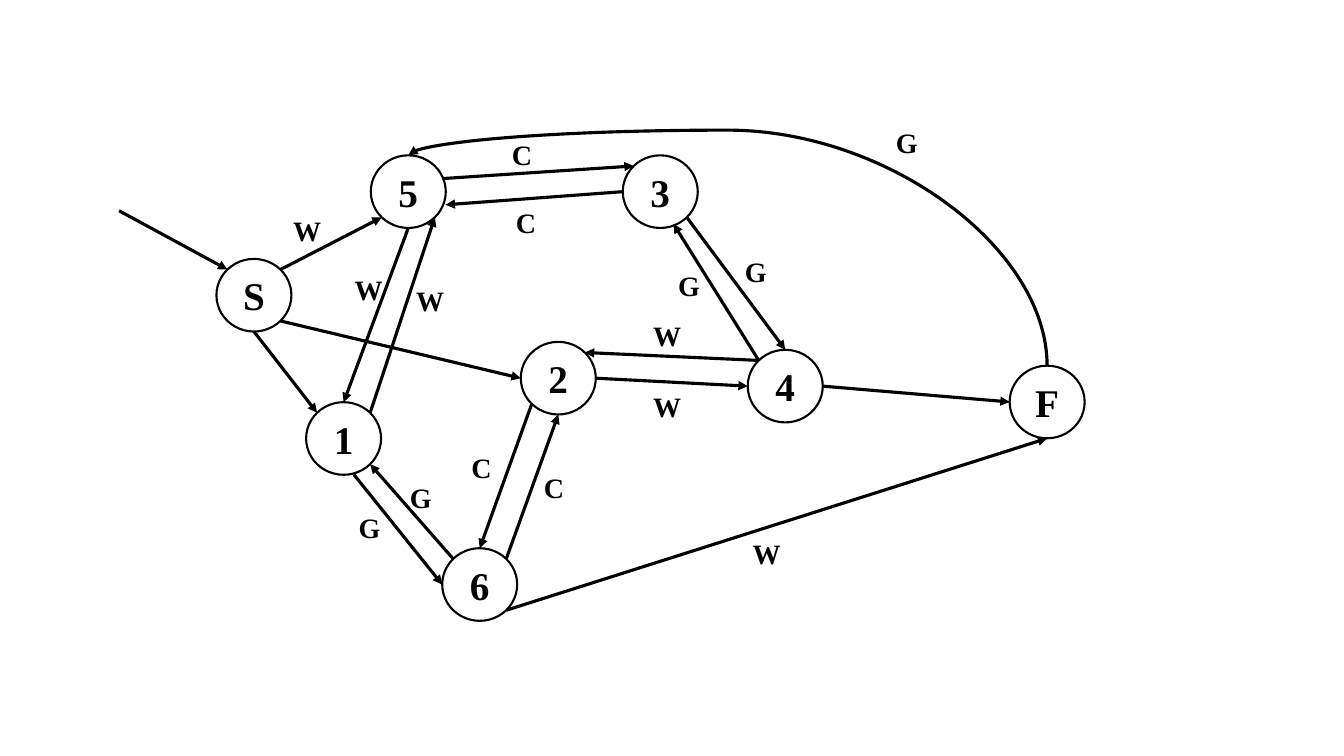
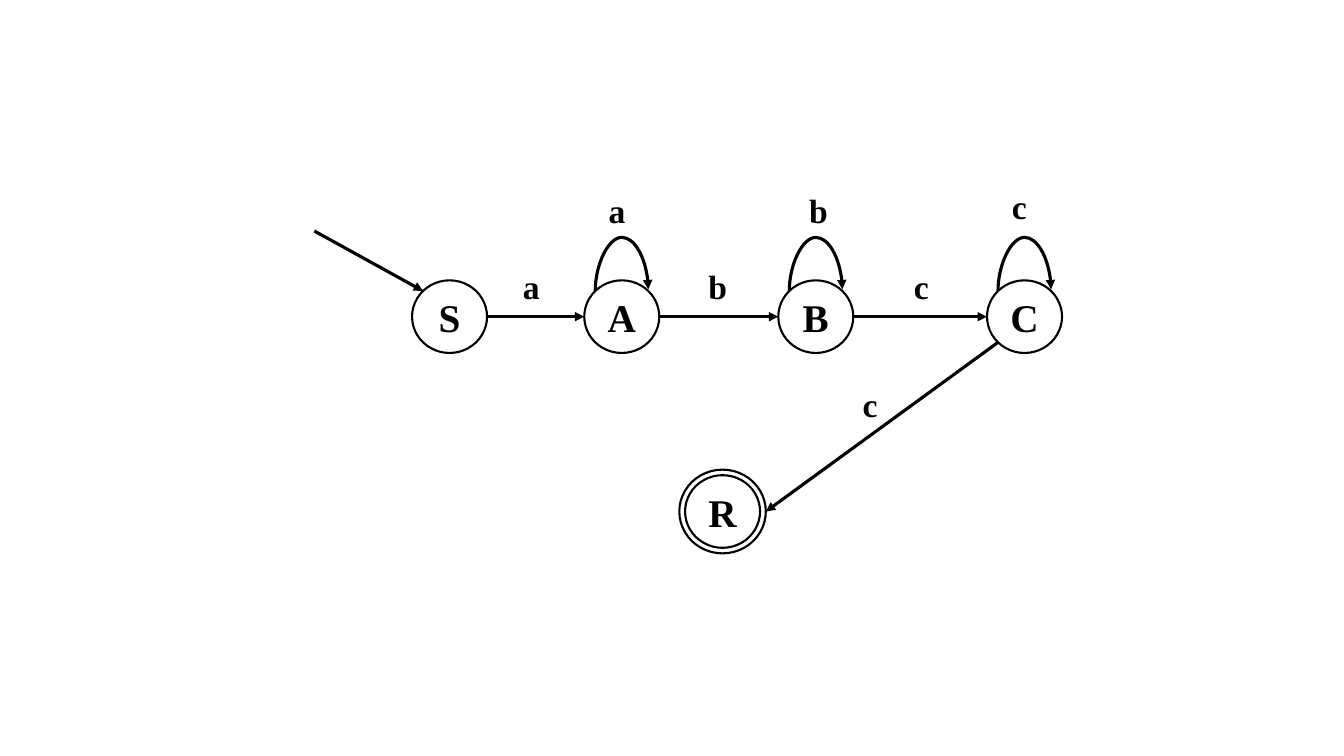
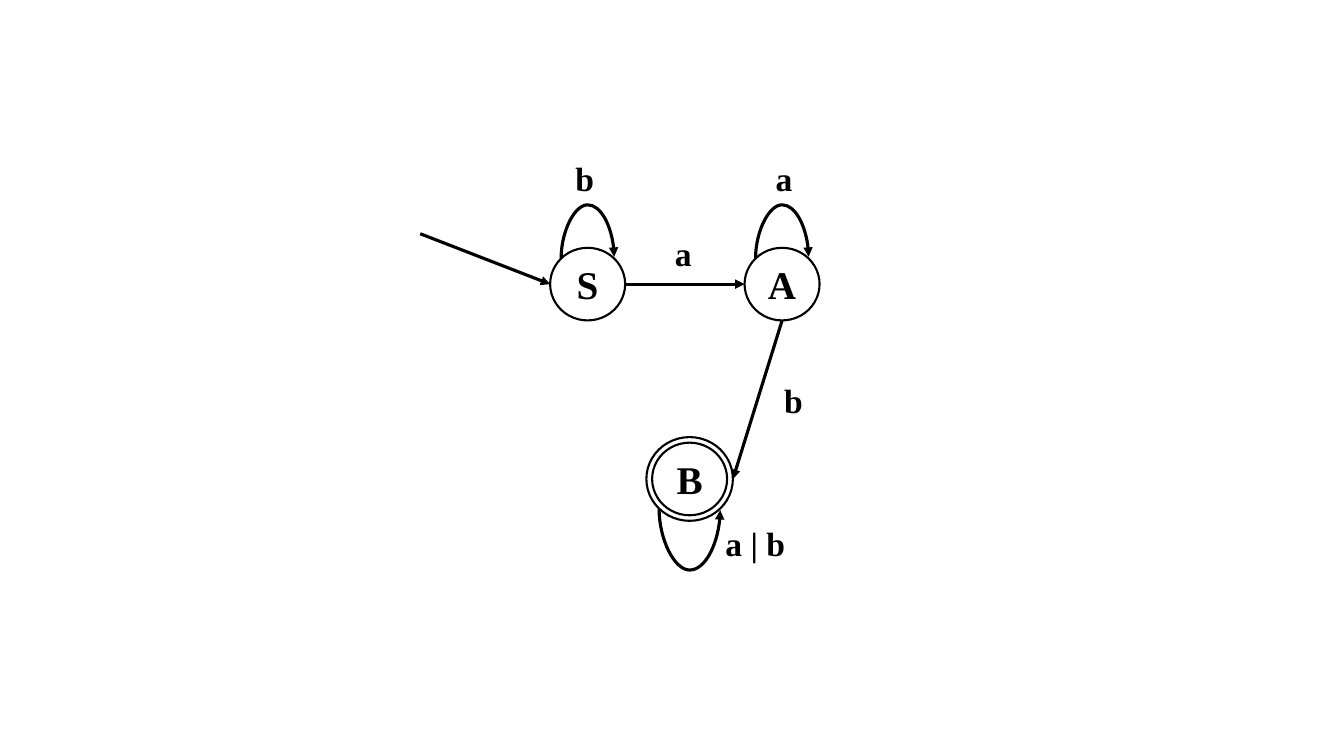
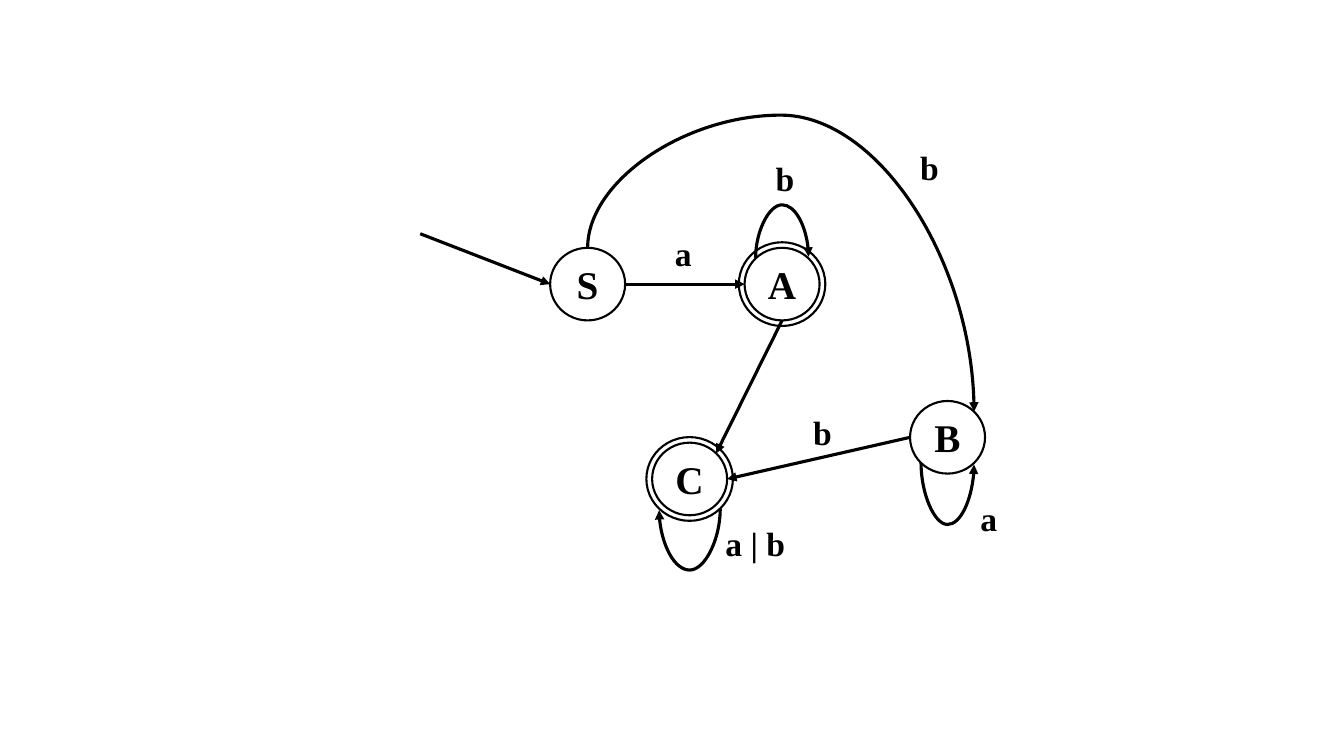
from pptx import Presentation
from pptx.dml.color import RGBColor
from pptx.enum.shapes import MSO_CONNECTOR, MSO_SHAPE
from pptx.enum.text import MSO_ANCHOR, PP_ALIGN
from pptx.oxml.ns import qn
from pptx.util import Cm, Pt

STRAIGHT, CURVE = MSO_CONNECTOR.STRAIGHT, MSO_CONNECTOR.CURVE
OVAL = MSO_SHAPE.OVAL
MIDDLE = MSO_ANCHOR.MIDDLE
CENTER = PP_ALIGN.CENTER

INK = "000000"
FONT = "Times New Roman"
STATE_SIZE = (1.89, 1.83)
RING_SIZE = (2.18, 2.11)
DIAGONAL = 0.5 ** 0.5
SITES = {
    "N": (0, 0, -1),
    "NW": (1, -DIAGONAL, -DIAGONAL),
    "W": (2, -1, 0),
    "SW": (3, -DIAGONAL, DIAGONAL),
    "S": (4, 0, 1),
    "SE": (5, DIAGONAL, DIAGONAL),
    "E": (6, 1, 0),
    "NE": (7, DIAGONAL, -DIAGONAL),
}


def color(value):
    """Turn a hex string into a colour."""
    return RGBColor.from_string(value)


def style_text(paragraph, size):
    """Apply the shared bold type to a paragraph."""
    font = paragraph.runs[0].font
    font.name, font.size, font.bold = FONT, Pt(size), True
    font.color.rgb = color(INK)


class Automaton:
    """A state diagram placed at a left and top offset on its slide."""

    def __init__(self, slide, left, top, label_size=24):
        """Keep the origin of the diagram and its label size."""
        self.shapes = slide.shapes
        self.left, self.top = left, top
        self.label_size = label_size
        self.states = {}

    def circle(self, name, x, y, size):
        """Draw an outlined ellipse centred on a point and register it."""
        width, height = size
        shape = self.shapes.add_shape(
            OVAL, Cm(self.left + x - width / 2), Cm(self.top + y - height / 2),
            Cm(width), Cm(height))
        shape.shadow.inherit = False
        shape.fill.background()
        shape.line.color.rgb = color(INK)
        shape.line.width = Pt(1.5)
        self.states[name] = (shape, x, y, size)
        return shape

    def state(self, name, x, y, final=False):
        """Draw a named state, with an outer ring when it is final."""
        shape = self.circle(name, x, y, STATE_SIZE)
        frame = shape.text_frame
        frame.vertical_anchor = MIDDLE
        frame.text = name
        frame.paragraphs[0].alignment = CENTER
        style_text(frame.paragraphs[0], 28)
        if final:
            self.circle(name + " ring", x, y, RING_SIZE)

    def point(self, end):
        """Return the position of a (state, site) pair or of a plain point."""
        if end[0] not in self.states:
            return end
        _, x, y, (width, height) = self.states[end[0]]
        _, across, down = SITES[end[1]]
        return x + across * width / 2, y + down * height / 2

    def connector(self, kind, x1, y1, x2, y2):
        """Draw a black connector with an arrowhead at its end."""
        connector = self.shapes.add_connector(
            kind, Cm(self.left + x1), Cm(self.top + y1),
            Cm(self.left + x2), Cm(self.top + y2))
        connector.line.color.rgb = color(INK)
        connector.line.width = Pt(2.25)
        properties = connector.element.spPr
        line = properties.find(qn("a:ln"))
        line.append(line.makeelement(qn("a:tailEnd"), {"type": "triangle"}))
        properties.append(properties.makeelement(qn("a:effectLst"), {}))
        return connector

    def edge(self, start, end):
        """Draw a straight arrow, joined to the states it names."""
        connector = self.connector(STRAIGHT, *self.point(start), *self.point(end))
        joints = connector.element.find(".//" + qn("p:cNvCxnSpPr"))
        for tag, joint in (("a:stCxn", start), ("a:endCxn", end)):
            if joint[0] in self.states:
                shape = self.states[joint[0]][0]
                joints.append(joints.makeelement(qn(tag), {
                    "id": str(shape.shape_id), "idx": str(SITES[joint[1]][0])}))

    def arc(self, start, end, peak, drop=0):
        """Draw an arrow that leaves vertically and turns at the peak height."""
        (x1, y1), (x2, y2) = self.point(start), self.point(end)
        y2 += drop
        middle_x, middle_y = (x1 + x2) / 2, (y1 + y2) / 2
        half_run, half_rise = abs(y2 - y1) / 2, abs(x2 - x1) / 2
        connector = self.connector(
            CURVE, middle_x - half_run, middle_y - half_rise,
            middle_x + half_run, middle_y + half_rise)
        frame = connector.element.spPr.find(qn("a:xfrm"))
        frame.set("rot", "5400000")
        frame.set("flipH", str(int(y2 < y1)))
        frame.set("flipV", str(int(x2 > x1)))
        guides = connector.element.find(".//" + qn("a:avLst"))
        turn = round((peak - y1) / (y2 - y1) * 100000)
        guides.append(guides.makeelement(
            qn("a:gd"), {"name": "adj1", "fmla": f"val {turn}"}))

    def loop(self, name, first="NW", last="NE", rise=-1.35):
        """Draw an arrow from a state back to itself."""
        peak = self.point((name, first))[1] + rise
        self.arc((name, first), (name, last), peak, 0.04 if rise > 0 else -0.04)

    def label(self, text, *places, width=1.5):
        """Write the same edge label at each place."""
        for x, y in places:
            box = self.shapes.add_textbox(
                Cm(self.left + x), Cm(self.top + y), Cm(width),
                Cm(1.27 if self.label_size == 24 else 1.12))
            box.text_frame.word_wrap = True
            box.text_frame.text = text
            style_text(box.text_frame.paragraphs[0], self.label_size)


def crossing_slide(slide):
    """Draw the eight-state crossing automaton."""
    diagram = Automaton(slide, 3, 3, label_size=20)
    for name, x, y in (
            ("S", 3.4, 4.44), ("5", 7.29, 1.83), ("1", 5.66, 8.05),
            ("6", 9.09, 11.73), ("2", 11.07, 6.53), ("3", 13.64, 1.83),
            ("4", 16.79, 6.73), ("F", 23.39, 7.13)):
        diagram.state(name, x, y)
    for start, end in (
            ((0, 2.31), ("S", "NW")),
            (("S", "S"), ("1", "NW")),
            (("S", "SE"), ("2", "W")),
            (("S", "NE"), ("5", "SW")),
            ((5.92, 8.96), ("6", "W")),
            (("6", "NW"), ("1", "SE")),
            (("6", "NE"), ("2", "S")),
            (("2", "SW"), ("6", "N")),
            (("6", "SE"), ("F", "S")),
            ((8.15, 1.5), ("3", "NW")),
            (("3", "W"), (8.23, 2.16)),
            (("2", "E"), ("4", "W")),
            (("4", "NW"), ("2", "NE")),
            (("4", "NW"), (13.97, 2.64)),
            (("3", "SE"), ("4", "N")),
            (("4", "E"), ("F", "W")),
            (("1", "NE"), ("5", "SE")),
            (("5", "S"), ("1", "N"))):
        diagram.edge(start, end)
    diagram.arc(("F", "N"), ("5", "N"), 0.28)
    diagram.label("W", (4.14, 2.26), (5.69, 3.73), (7.24, 4.01),
                  (15.72, 10.39), (13.21, 4.9), (13.21, 6.68))
    diagram.label("G", (5.79, 9.75), (7.08, 8.99), (13.84, 3.63),
                  (15.52, 3.3), (19.33, 0.05))
    diagram.label("C", (8.63, 8.23), (10.46, 8.73), (9.65, 0.35), (9.75, 2.05))


def sequence_slide(slide):
    """Draw the automaton that reads runs of a, b and c."""
    diagram = Automaton(slide, 7.92, 4)
    for name, x in (("S", 3.41), ("A", 7.75), ("B", 12.64), ("C", 17.9)):
        diagram.state(name, x, 3.98)
    diagram.state("R", 10.29, 8.89, final=True)
    diagram.edge((0, 1.82), ("S", "NW"))
    for start, end in ("SA", "AB", "BC"):
        diagram.edge((start, "E"), (end, "W"))
    diagram.edge(("C", "SW"), ("R ring", "E"))
    for name in "ABC":
        diagram.loop(name)
    diagram.label("a", (5.01, 2.58), (7.17, 0.67))
    diagram.label("b", (9.68, 2.58), (12.22, 0.67))
    diagram.label("c", (14.86, 2.58), (13.57, 5.55), (17.33, 0.55))


def branch_base(slide, last, a_final):
    """Draw the states, edges and labels of a diagram ending in a given state."""
    diagram = Automaton(slide, 10.59, 2.5)
    diagram.state("S", 4.22, 4.66)
    diagram.state("A", 9.12, 4.66, final=a_final)
    diagram.state(last, 6.79, 9.57, final=True)
    diagram.edge((0, 3.39), ("S", "W"))
    diagram.edge(("S", "E"), ("A", "W"))
    diagram.loop("A")
    diagram.label("a", (6.17, 3.24))
    diagram.label("a | b", (7.44, 10.56), width=2.03)
    return diagram


def three_state_slide(slide):
    """Draw the automaton with one final state."""
    diagram = branch_base(slide, "B", False)
    diagram.edge(("A", "S"), ("B ring", "E"))
    diagram.loop("S")
    diagram.loop("B ring", "SW", "SE", 1.55)
    diagram.label("a", (8.71, 1.36))
    diagram.label("b", (3.66, 1.36), (8.92, 6.95))


def four_state_slide(slide):
    """Draw the automaton with two final states."""
    diagram = branch_base(slide, "C", True)
    diagram.state("B", 13.29, 8.52)
    diagram.edge(("A", "S"), ("C", "NE"))
    diagram.edge(("B", "W"), ("C", "E"))
    diagram.loop("C ring", "SE", "SW", 1.55)
    diagram.loop("B", "SW", "SE", 1.55)
    diagram.arc(("S", "N"), ("B", "NE"), 0.4)
    diagram.label("a", (13.87, 9.92))
    diagram.label("b", (8.71, 1.36), (12.35, 1.08), (9.65, 7.76))


def main():
    """Build the presentation."""
    presentation = Presentation()
    presentation.slide_width, presentation.slide_height = Cm(33.87), Cm(19.05)
    for build in (crossing_slide, sequence_slide, three_state_slide, four_state_slide):
        build(presentation.slides.add_slide(presentation.slide_layouts[6]))
    presentation.save("out.pptx")


if __name__ == "__main__":
    main()
